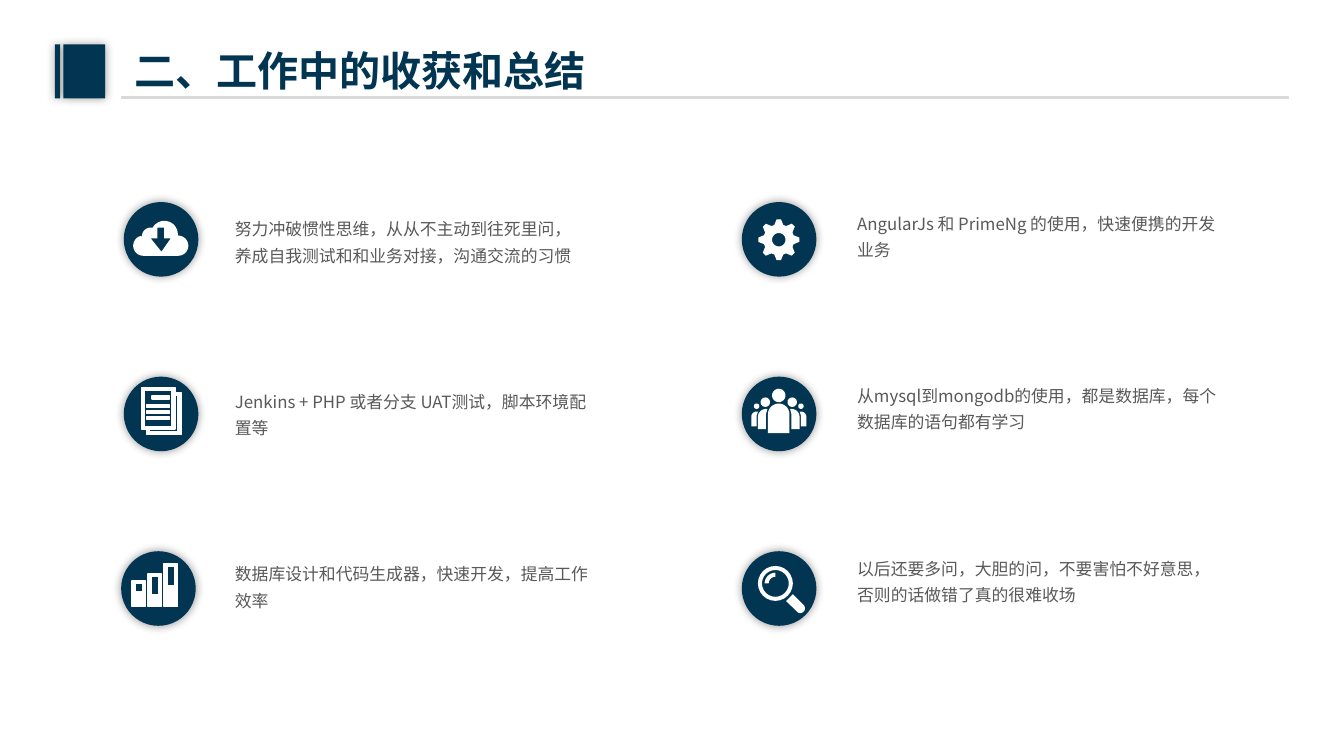
import math

from lxml import etree
from pptx import Presentation
from pptx import util as u
from pptx.dml.color import RGBColor
from pptx.enum import shapes, text
from pptx.oxml.ns import qn

COLORS = {"navy": "023552", "white": "FFFFFF", "gray": "595959",
          "rule": "D9D9D9", "shadow": "000000"}
FONT = "Noto Sans CJK SC"
UNIT = 0.0254          # one icon grid step, in cm
CIRCLE = 1.41
CIRCLE_TOP, CIRCLE_STEP = 3.82, 3.3
TEXT_STEP, TEXT_HEIGHT = 3.26, 1.73


def rgb(name):
    return RGBColor.from_string(COLORS[name])


# --- outlines on the icon grid, measured from the circle's corner ---
def arc(cx, cy, r, start=0, end=360, steps=24):
    angles = (math.radians(start + (end - start) * i / steps) for i in range(steps + 1))
    return [(cx + r * math.cos(a), cy + r * math.sin(a)) for a in angles]


def box(left, top, right, bottom):
    return [(left, top), (right, top), (right, bottom), (left, bottom)]


def mirror(points, axis=27.5):
    return [(2 * axis - x, y) for x, y in points]


def cloud_icon():
    cloud = (arc(14.5, 32.5, 7.5, 90, 250) + arc(20, 25.5, 6.5, 180, 285)
             + arc(30.2, 24, 10, 205, 360) + arc(40.5, 32.5, 7.5, -90, 90))
    arrow = [(28, 37), (20, 27), (25, 27), (25, 19), (30, 19), (30, 27), (35, 27)]
    return [[cloud, arrow]]


def pages_icon():
    back = [(38, 12), (43, 12), (43, 43), (17, 43), (17, 39),
            (19, 39), (19, 41), (40, 41), (40, 14), (38, 14)]
    lines = [[box(17, top, 34, top + 2)] for top in (21, 25.5, 30)]
    return [[box(13, 8, 38, 39), box(15, 10, 36, 37)], [back],
            [box(21, 14.5, 34, 16.5)], *lines]


def bars_icon():
    bars = [(8, 22, 30), (20, 17, 32), (32, 9, 26)]
    return [[box(x, top, x + 10, 41), box(x + 2.5, top + 2, x + 8, hole)]
            for x, top, hole in bars]


def gear_icon():
    cx, cy = 27.5, 28
    teeth = []
    for i in range(8):
        for offset, r in ((-17, 11.5), (-6, 15.3), (6, 15.3), (17, 11.5)):
            a = math.radians(45 * i + offset)
            teeth.append((cx + r * math.sin(a), cy - r * math.cos(a)))
    return [[teeth, arc(cx, cy, 5)]]


def people_icon():
    side = [arc(37.5, 19, 3.5), arc(44, 22, 2),
            arc(37, 30, 6, -90, 0) + [(43, 39), (37, 39), (37, 28), (36, 24)],
            arc(44, 30, 4, -90, 0) + [(48, 37), (44, 37), (44, 29), (43, 26)]]
    center = [arc(27.5, 14, 5), arc(27.5, 28, 8, 180, 360) + [(35.5, 42), (19.5, 42)]]
    return [[part] for part in center + side + [mirror(p) for p in side]]


def search_icon():
    handle = arc(43.5, 42.5, 3.5, 135, -45) + [(38, 32), (33, 37)]
    shine = arc(25, 24, 8, 180, 270) + arc(25, 24, 5, 270, 180)
    return [[handle], [arc(25, 24, 13), arc(25, 24, 10)], [shine]]


# --- slide elements ---
def add_solid(parent, kind, left, top, width, height):
    sp = parent.add_shape(kind, *map(u.Cm, (left, top, width, height)))
    sp.fill.solid()
    sp.fill.fore_color.rgb = rgb("navy")
    sp.line.fill.background()
    # soft glow-like shadow
    sp.shadow.inherit = False
    effects = sp._element.spPr.find(qn("a:effectLst"))
    shadow = etree.SubElement(effects, qn("a:outerShdw"), blurRad=str(u.Pt(5)),
                              dist="0", dir="0", algn="ctr", rotWithShape="0")
    color = etree.SubElement(shadow, qn("a:srgbClr"), val=COLORS["shadow"])
    etree.SubElement(color, qn("a:alpha"), val="40000")
    return sp


def add_outline(parent, contours, left, top, outlined):
    paths = [[(u.Cm(left + x * UNIT), u.Cm(top + y * UNIT)) for x, y in contour]
             for contour in contours]
    builder = parent.build_freeform(*paths[0][0])
    builder.add_line_segments(paths[0][1:], close=True)
    for path in paths[1:]:
        builder.move_to(*path[0])
        builder.add_line_segments(path[1:], close=True)
    sp = builder.convert_to_shape()
    sp.shadow.inherit = False
    sp.fill.solid()
    sp.fill.fore_color.rgb = rgb("white")
    if outlined:
        sp.line.color.rgb = rgb("white")
        sp.line.width = u.Pt(0.75)
    else:
        sp.line.fill.background()


def add_icon(s, parts, left, top, outlined):
    group = s.shapes.add_group_shape().shapes
    add_solid(group, shapes.MSO_SHAPE.OVAL, left, top, CIRCLE, CIRCLE)
    for contours in parts:
        add_outline(group, contours, left, top, outlined)


def add_text(s, words, left, top, width, height, size, color, bold=False, spacing=None,
             anchor=text.MSO_ANCHOR.MIDDLE):
    tf = s.shapes.add_textbox(*map(u.Cm, (left, top, width, height))).text_frame
    tf.word_wrap = True
    tf.vertical_anchor = anchor
    tf.text = words
    p = tf.paragraphs[0]
    p.line_spacing = spacing
    r = p.runs[0]
    r.font.size, r.font.bold, r.font.name = u.Pt(size), bold, FONT
    r.font.color.rgb = rgb(color)
    etree.SubElement(r.font._element, qn("a:ea"), typeface=FONT)


def add_header(s):
    add_text(s, "二、工作中的收获和总结", 2.29, 0.74, 9.35, 1.19, 22, "navy", bold=True,
             anchor=text.MSO_ANCHOR.TOP)
    for left, width in ((1.2, 0.79), (1.04, 0.1)):
        add_solid(s.shapes, shapes.MSO_SHAPE.RECTANGLE, left, 0.84, width, 1.02)
    rule = s.shapes.add_connector(shapes.MSO_CONNECTOR.STRAIGHT,
                                  *map(u.Cm, (2.29, 1.85, 24.36, 1.85)))
    rule.line.color.rgb = rgb("rule")
    rule.line.width = u.Pt(1.5)
    etree.SubElement(rule._element.spPr, qn("a:effectLst"))


def main():
    prs = Presentation()
    prs.slide_width, prs.slide_height = u.Cm(25.4), u.Cm(14.29)
    s = prs.slides.add_slide(prs.slide_layouts[6])
    add_header(s)

    # columns: text left, first text top, then (icon, outlined, icon left, text width, words)
    columns = [
        (4.19, 3.66, [
            (cloud_icon, False, 2.34, 7.01,
             "努力冲破惯性思维，从从不主动到往死里问，养成自我测试和和业务对接，沟通交流的习惯"),
            (pages_icon, True, 2.34, 7.34, "Jenkins + PHP 或者分支 UAT测试，脚本环境配置等"),
            (bars_icon, True, 2.29, 7.24, "数据库设计和代码生成器，快速开发，提高工作效率")]),
        (15.95, 3.55, [
            (gear_icon, False, 14.02, 7.37,
             "AngularJs 和 PrimeNg 的使用，快速便携的开发业务"),
            (people_icon, False, 14.02, 7.37,
             "从mysql到mongodb的使用，都是数据库，每个数据库的语句都有学习"),
            (search_icon, False, 14.02, 7.37,
             "以后还要多问，大胆的问，不要害怕不好意思，否则的话做错了真的很难收场")]),
    ]
    for text_left, text_top, items in columns:
        for row, (icon, outlined, icon_left, width, words) in enumerate(items):
            add_icon(s, icon(), icon_left, CIRCLE_TOP + row * CIRCLE_STEP, outlined)
            add_text(s, words, text_left, text_top + row * TEXT_STEP, width, TEXT_HEIGHT,
                     9, "gray", spacing=1.3)
    prs.save("out.pptx")


if __name__ == "__main__":
    main()
